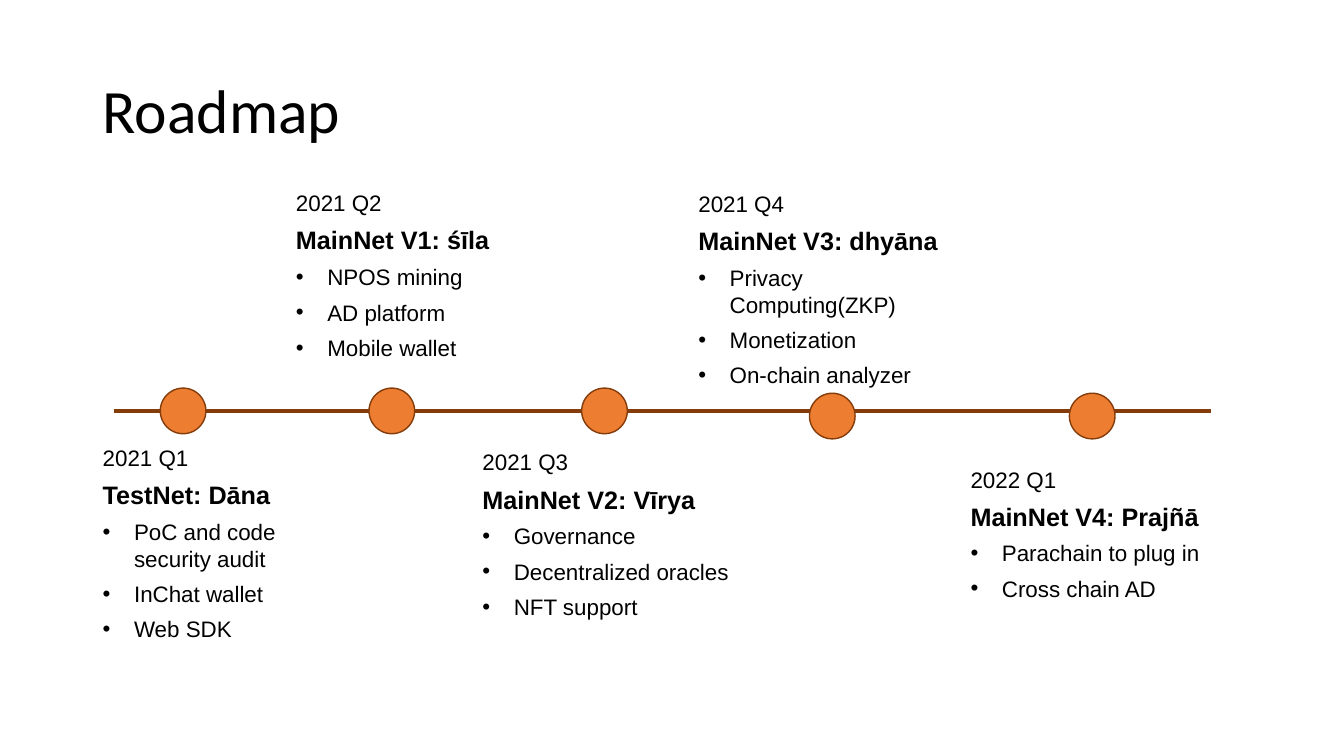
from dataclasses import dataclass

import pptx
import pptx.dml.color
import pptx.enum.shapes
import pptx.enum.text
import pptx.oxml.ns
import pptx.presentation
import pptx.slide
import pptx.text.text
import pptx.util
from lxml import etree

Cm = pptx.util.Cm
Pt = pptx.util.Pt

BLACK = pptx.dml.color.RGBColor(0x00, 0x00, 0x00)
ORANGE = pptx.dml.color.RGBColor(0xED, 0x7D, 0x31)
BROWN = pptx.dml.color.RGBColor(0x84, 0x3C, 0x0B)

AXIS_Y = 10.36
DOT_SIZE = 1.15
BULLET_INDENT = 0.79


@dataclass(frozen=True)
class Milestone:
    """A dot on the timeline and its text; lengths in centimetres."""
    quarter: str
    release: str
    goals: tuple[str, ...]
    dot_left: float
    dot_top: float
    left: float
    top: float
    width: float
    height: float


MILESTONES = (
    Milestone("2021 Q1", "TestNet: Dāna",
              ("PoC and code security audit", "InChat wallet", "Web SDK"),
              4.04, 9.78, 2.34, 11.07, 4.95, 5.31),
    Milestone("2021 Q2", "MainNet V1: śīla",
              ("NPOS mining", "AD platform", "Mobile wallet"),
              9.3, 9.78, 7.21, 4.65, 6.58, 4.62),
    Milestone("2021 Q3", "MainNet V2: Vīrya",
              ("Governance", "Decentralized oracles", "NFT support"),
              14.66, 9.78, 11.91, 11.18, 8.48, 4.62),
    Milestone("2021 Q4", "MainNet V3: dhyāna",
              ("Privacy Computing(ZKP)", "Monetization", "On-chain analyzer"),
              20.4, 9.91, 17.35, 4.67, 7.24, 4.78),
    Milestone("2022 Q1", "MainNet V4: Prajñā",
              ("Parachain to plug in", "Cross chain AD"),
              26.95, 9.91, 24.21, 11.61, 6.63, 4.78),
)


def add_text_frame(slide: pptx.slide.Slide, left: float, top: float,
                   width: float, height: float) -> pptx.text.text.TextFrame:
    frame = slide.shapes.add_textbox(Cm(left), Cm(top), Cm(width), Cm(height)).text_frame
    frame.word_wrap = True
    return frame


def write_paragraph(frame: pptx.text.text.TextFrame, text: str, *, size: float = 16,
                    font: str = "Arial", bold: bool = False, space_after: float = 6,
                    line_spacing: float = 1.0, bullet: bool = False) -> None:
    """Fill the frame's empty first paragraph, or add another one."""
    first = frame.paragraphs[0]
    paragraph = frame.add_paragraph() if first.runs else first
    paragraph.space_after = Pt(space_after)
    paragraph.line_spacing = line_spacing
    run = paragraph.add_run()
    run.text = text
    run.font.size = Pt(size)
    run.font.name = font
    run.font.bold = bold
    run.font.color.rgb = BLACK
    if bullet:
        properties = paragraph._p.get_or_add_pPr()
        properties.set("marL", str(Cm(BULLET_INDENT)))
        properties.set("indent", str(-Cm(BULLET_INDENT)))
        qn = pptx.oxml.ns.qn
        etree.SubElement(properties, qn("a:buFont")).set("typeface", "Arial")
        etree.SubElement(properties, qn("a:buChar")).set("char", "•")


def draw_title(slide: pptx.slide.Slide) -> None:
    frame = add_text_frame(slide, 2.34, 1.02, 29.21, 3.68)
    frame.vertical_anchor = pptx.enum.text.MSO_ANCHOR.MIDDLE
    write_paragraph(frame, "Roadmap", size=44, font="Calibri",
                    space_after=0, line_spacing=0.9)


def draw_axis(slide: pptx.slide.Slide) -> None:
    axis = slide.shapes.add_connector(pptx.enum.shapes.MSO_CONNECTOR.STRAIGHT,
                                      Cm(2.87), Cm(AXIS_Y), Cm(30.51), Cm(AXIS_Y))
    axis.line.color.rgb = BROWN
    axis.line.width = Pt(3)
    etree.SubElement(axis._element.spPr, pptx.oxml.ns.qn("a:effectLst"))


def draw_milestone(slide: pptx.slide.Slide, milestone: Milestone) -> None:
    dot = slide.shapes.add_shape(pptx.enum.shapes.MSO_SHAPE.OVAL,
                                 Cm(milestone.dot_left), Cm(milestone.dot_top),
                                 Cm(DOT_SIZE), Cm(DOT_SIZE))
    dot.shadow.inherit = False
    dot.fill.solid()
    dot.fill.fore_color.rgb = ORANGE
    dot.line.color.rgb = BROWN
    dot.line.width = Pt(1)

    frame = add_text_frame(slide, milestone.left, milestone.top,
                           milestone.width, milestone.height)
    frame.auto_size = pptx.enum.text.MSO_AUTO_SIZE.SHAPE_TO_FIT_TEXT
    write_paragraph(frame, milestone.quarter)
    write_paragraph(frame, milestone.release, size=18, bold=True)
    for goal in milestone.goals:
        write_paragraph(frame, goal, bullet=True)


def main() -> None:
    deck = pptx.Presentation()
    deck.slide_width, deck.slide_height = Cm(33.87), Cm(19.05)
    slide = deck.slides.add_slide(deck.slide_layouts[6])
    draw_title(slide)
    draw_axis(slide)
    for milestone in MILESTONES:
        draw_milestone(slide, milestone)
    deck.save("out.pptx")


if __name__ == "__main__":
    main()
